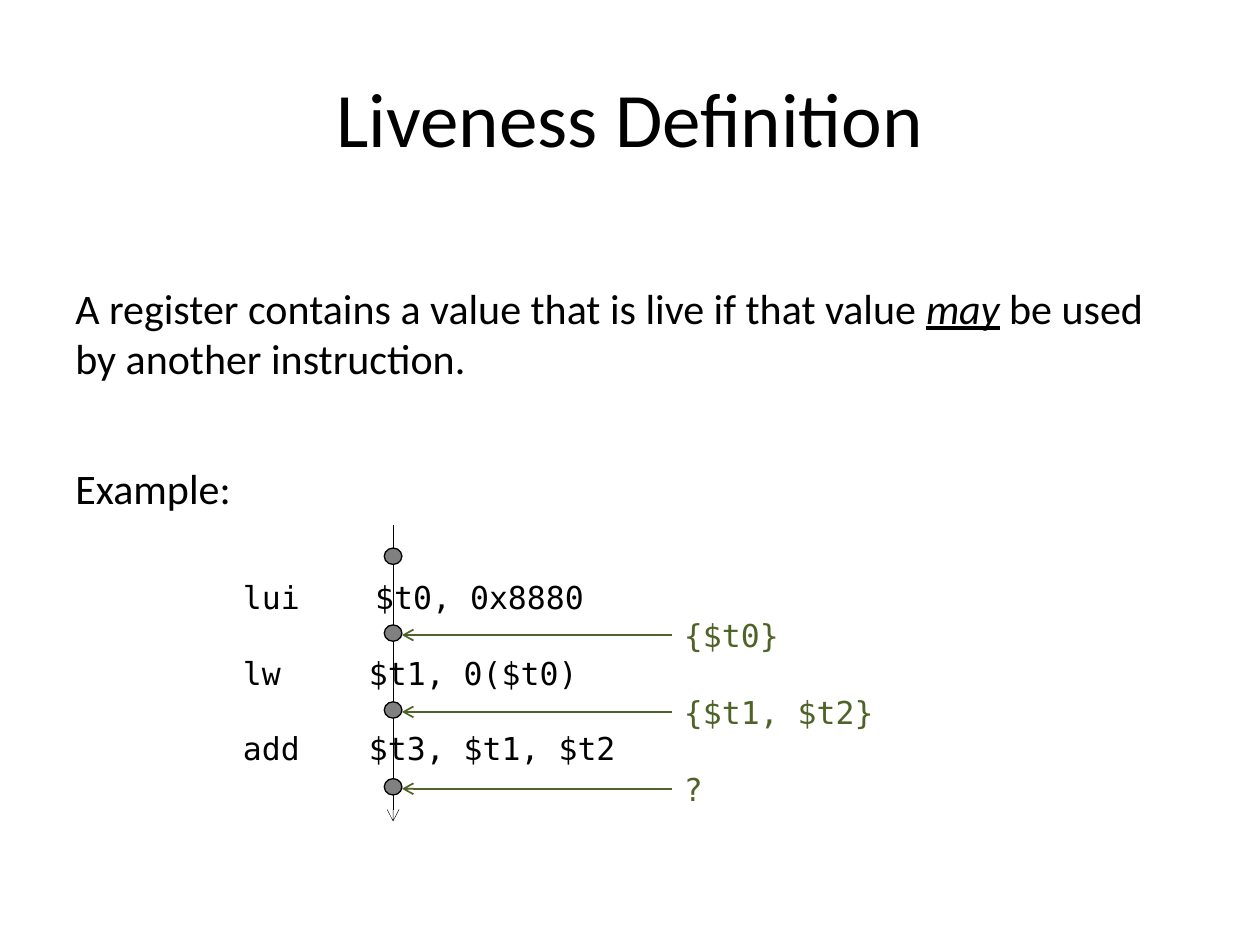
from lxml import etree
from pptx import Presentation
from pptx import util as u
from pptx.dml.color import RGBColor
from pptx.enum import shapes, text
from pptx.oxml.ns import qn

COLORS = {"ink": "000000", "dot": "808080", "live": "4F6228"}
BODY = {"name": "Calibri", "size": u.Pt(24)}
TITLE = {**BODY, "size": u.Pt(44)}
CODE = {"name": "DejaVu Sans Mono", "size": u.Pt(18)}
STRESSED = {"italic": True, "underline": True}

DOT_PITCH = 0.61
# Operation, operands, and how far the operands are indented
INSTRUCTIONS = [
    ("lui", "$t0, 0x8880", 1.05),
    ("lw", "$t1, 0($t0)", 1),
    ("add", "$t3, $t1, $t2", 1),
]
# Live registers after each instruction, and the width of the label
LIVE_SETS = [("{$t0}", 1), ("{$t1, $t2}", 1.9), ("?", 0.4)]


def color(name):
    return RGBColor.from_string(COLORS[name])


def add_run(paragraph, words, style, color_name="ink"):
    run = paragraph.add_run()
    run.text = words
    for attribute, value in style.items():
        setattr(run.font, attribute, value)
    run.font.color.rgb = color(color_name)


def add_text_box(slide, left, top, width, height):
    box = slide.shapes.add_textbox(
        u.Inches(left), u.Inches(top), u.Inches(width), u.Inches(height))
    box.text_frame.word_wrap = True
    return box


def add_arrow(slide, start, end, color_name, weight):
    arrow = slide.shapes.add_connector(
        shapes.MSO_CONNECTOR.STRAIGHT, *map(u.Inches, start + end))
    arrow.line.color.rgb = color(color_name)
    arrow.line.width = u.Pt(weight)
    etree.SubElement(arrow.line._get_or_add_ln(), qn("a:tailEnd"), type="arrow")
    etree.SubElement(arrow._element.spPr, qn("a:effectLst"))
    return arrow


def add_title(slide, left, top, width, height):
    frame = add_text_box(slide, left, top, width, height).text_frame
    frame.vertical_anchor = text.MSO_ANCHOR.MIDDLE
    paragraph = frame.paragraphs[0]
    paragraph.alignment = text.PP_ALIGN.CENTER
    add_run(paragraph, "Liveness Definition", TITLE)


def add_body(slide, left, top, width, height, runs):
    paragraph = add_text_box(slide, left, top, width, height).text_frame.paragraphs[0]
    for words, style in runs:
        add_run(paragraph, words, {**BODY, **style})


def add_timeline(slide, left, top, height):
    """Draw the downward arrow with a dot at each program point."""
    add_arrow(slide, (left, top), (left, top + height), "ink", 0.25)
    for index in range(len(INSTRUCTIONS) + 1):
        dot = slide.shapes.add_shape(
            shapes.MSO_SHAPE.OVAL,
            u.Inches(left - 0.07), u.Inches(top + 0.18 + index * DOT_PITCH),
            u.Inches(0.14), u.Inches(0.13))
        dot.shadow.inherit = False
        dot.fill.solid()
        dot.fill.fore_color.rgb = color("dot")
        dot.line.color.rgb = color("ink")
        dot.line.width = u.Pt(0.75)


def add_code(slide, left, top, width, height):
    frame = add_text_box(slide, left, top, width, height).text_frame
    for index, (operation, operands, indent) in enumerate(INSTRUCTIONS):
        paragraph = frame.add_paragraph() if index else frame.paragraphs[0]
        if index:
            paragraph.space_before = u.Pt(21.5)
        add_run(paragraph, f"{operation}\t{operands}", CODE)
        tabs = etree.SubElement(paragraph._p.get_or_add_pPr(), qn("a:tabLst"))
        etree.SubElement(tabs, qn("a:tab"), pos=str(u.Inches(indent)), algn="l")


def add_live_sets(slide, left, top, arrow_length):
    """Label each point after an instruction, with an arrow back to its dot."""
    height = 0.4
    for index, (words, width) in enumerate(LIVE_SETS):
        row = top + index * DOT_PITCH
        label = add_text_box(slide, left, row, width, height)
        add_run(label.text_frame.paragraphs[0], words, CODE, "live")
        middle = row + height / 2
        arrow = add_arrow(
            slide, (left, middle), (left - arrow_length, middle), "live", 1)
        arrow.begin_connect(label, 1)


def main():
    presentation = Presentation()
    presentation.slide_width = u.Inches(10)
    presentation.slide_height = u.Inches(7.5)
    slide = presentation.slides.add_slide(presentation.slide_layouts[6])

    add_timeline(slide, 3.12, 4.17, 2.35)
    add_title(slide, 0.5, 0.3, 9, 1.25)
    add_body(slide, 0.5, 2.19, 9, 0.9, [
        ("A register contains a value that is live if that value ", {}),
        ("may", STRESSED),
        (" be used by another instruction.", {}),
    ])
    add_body(slide, 0.5, 3.62, 1.6, 0.5, [("Example:", {})])
    add_code(slide, 1.83, 4.54, 3.3, 1.62)
    add_live_sets(slide, 5.33, 4.84, 2.14)
    presentation.save("out.pptx")


if __name__ == "__main__":
    main()
